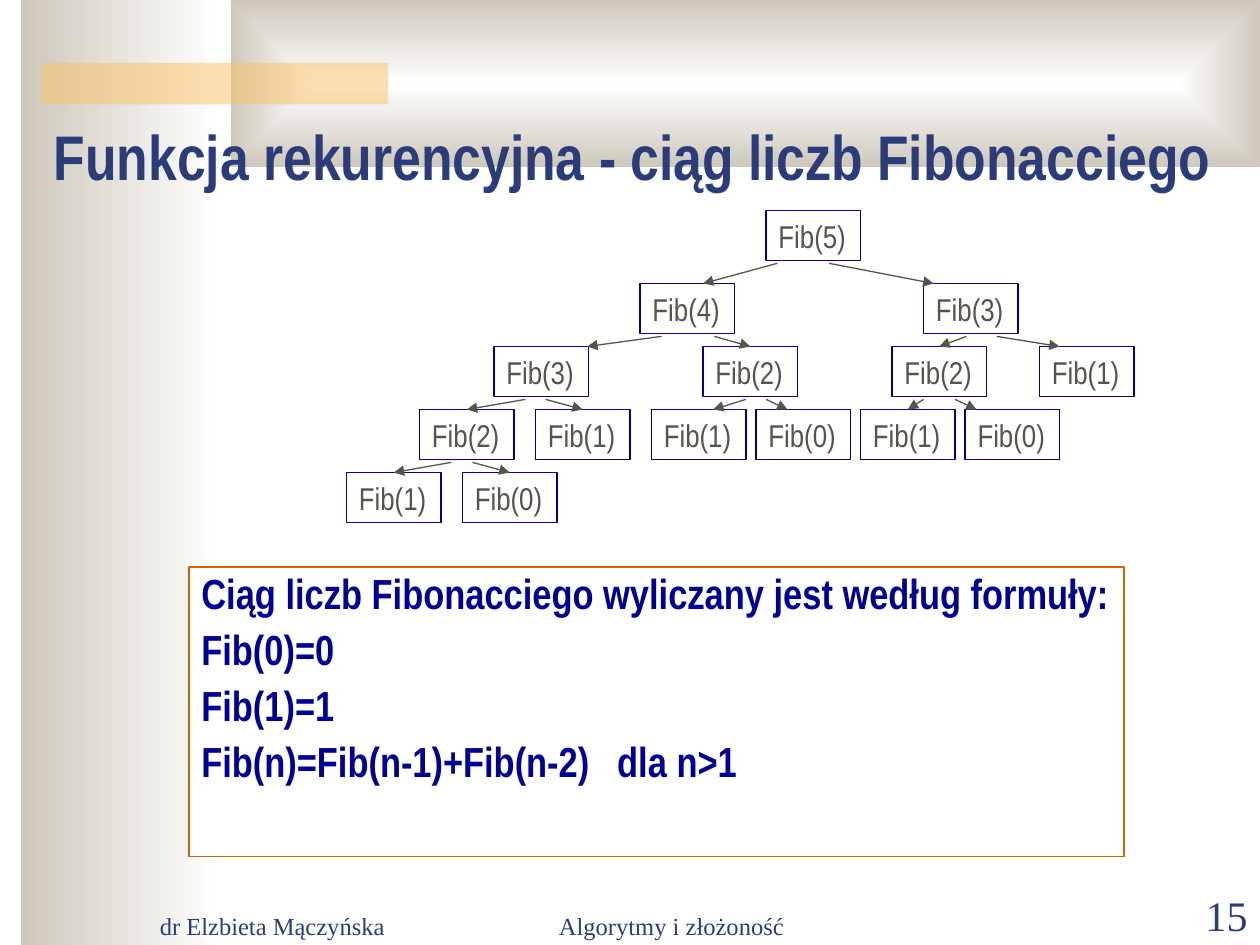
from typing import NamedTuple, Optional

from pptx import Presentation
from pptx.dml.color import RGBColor
from pptx.enum.shapes import MSO_CONNECTOR as Connector, MSO_SHAPE as Shape
from pptx.enum.text import MSO_ANCHOR as Anchor, PP_ALIGN as Align
from pptx.oxml import parse_xml
from pptx.oxml.ns import nsdecls, qn
from pptx.util import Inches, Pt
from lxml.etree import SubElement

COLORS = {
    "paper": "FFFFFF", "sand": "CEC8BA", "amber": "FAC164", "heading": "2A3D7A",
    "navy": "000099", "brown": "5B5249", "orange": "CC6600",
}
NARROW, SERIF = "Arial Narrow", "Times New Roman"
NODE_WIDTH, NODE_HEIGHT, ARROW_GAP = 0.75, 0.4, 0.42
ROW_TOPS = (1.67, 2.25, 2.75, 3.25, 3.75)
FORMULA_TAB = 3.3


class Box(NamedTuple):
    left: float
    top: float
    width: float
    height: float


class Label(NamedTuple):
    text: str
    box: Box
    size: int
    font: str
    bold: bool = False
    align: Align = Align.LEFT


class Call(NamedTuple):
    """A call in the tree; without arrow_to its arrow joins the top middle."""
    argument: int
    row: int
    left: float
    arrow_from: Optional[float] = None
    arrow_to: Optional[float] = None


LABELS = (
    Label("dr Elzbieta Mączyńska", Box(1.17, 7.01, 2.08, 0.5), 14, SERIF),
    Label("Algorytmy i złożoność", Box(3.75, 7.01, 3.16, 0.5), 14, SERIF, align=Align.CENTER),
    Label("15", Box(9, 7.01, 1, 0.5), 24, SERIF, align=Align.RIGHT),
    Label("Funkcja rekurencyjna - ciąg liczb Fibonacciego",
          Box(0.33, 0.83, 9.67, 0.75), 36, NARROW, bold=True),
)
CALLS = (
    Call(5, 0, 6.08),
    Call(4, 1, 5.08, 6.17, 5.58), Call(3, 1, 7.33, 6.58, 7.41),
    Call(3, 2, 3.92, 5.25, 4.66), Call(2, 2, 5.58, 5.67),
    Call(2, 2, 7.08, 7.67), Call(1, 2, 8.25, 7.91, 8.41),
    Call(2, 3, 3.33, 4.17), Call(1, 3, 4.25, 4.33),
    Call(1, 3, 5.17, 5.92, 5.66), Call(0, 3, 6, 6.08, 6.25),
    Call(1, 3, 6.83, 7.33), Call(0, 3, 7.66, 7.58, 7.75),
    Call(1, 4, 2.75, 3.58), Call(0, 4, 3.67, 3.75),
)
FORMULA = (
    "Ciąg liczb Fibonacciego wyliczany jest według formuły:",
    "Fib(0)=0",
    "Fib(1)=1",
    "Fib(n)=Fib(n-1)+Fib(n-2)\tdla n>1",
)


def rgb(name: str) -> RGBColor:
    return RGBColor.from_string(COLORS[name])


def apply(target, values: dict) -> None:
    for attribute, value in values.items():
        setattr(target, attribute, value)


def write(paragraph, text: str, color: str, font: dict, layout: dict) -> None:
    run = paragraph.add_run()
    run.text = text
    apply(run.font, font)
    run.font.color.rgb = rgb(color)
    apply(paragraph, layout)


def add_rectangle(slide, box: Box, outline: Optional[str] = None):
    rectangle = slide.shapes.add_shape(Shape.RECTANGLE, *map(Inches, box))
    rectangle.shadow.inherit = False
    if outline:
        rectangle.line.color.rgb = rgb(outline)
        rectangle.line.width = Pt(0.75)
    else:
        rectangle.line.fill.background()
    return rectangle


def add_gradient(slide, box: Box):
    panel = add_rectangle(slide, box)
    panel.fill.gradient()
    panel.fill.gradient_angle = 180
    for stop, color in zip(panel.fill.gradient_stops, ("paper", "sand")):
        stop.color.rgb = rgb(color)
    return panel


def add_backdrop(slide) -> None:
    add_gradient(slide, Box(0.17, 0, 1.58, 7.5))
    banner = add_gradient(slide, Box(1.83, 0, 8.17, 1.33))
    linear = next(banner.element.spPr.iter(qn("a:lin")))
    linear.getparent().replace(linear, parse_xml(
        f'<a:path {nsdecls("a")} path="rect">'
        '<a:fillToRect l="50000" t="50000" r="50000" b="50000"/></a:path>'))
    accent = add_rectangle(slide, Box(0.33, 0.5, 2.75, 0.33))
    accent.fill.solid()
    accent.fill.fore_color.rgb = rgb("amber")
    color = next(accent.element.spPr.iter(qn("a:srgbClr")))
    SubElement(color, qn("a:alpha"), val="50000")


def add_label(slide, label: Label) -> None:
    frame = slide.shapes.add_textbox(*map(Inches, label.box)).text_frame
    apply(frame, {"word_wrap": True, "vertical_anchor": Anchor.BOTTOM})
    write(frame.paragraphs[0], label.text, "heading",
          {"name": label.font, "size": Pt(label.size), "bold": label.bold},
          {"alignment": label.align})


def add_call(slide, call: Call):
    node = add_rectangle(
        slide, Box(call.left, ROW_TOPS[call.row], NODE_WIDTH, NODE_HEIGHT), "navy")
    node.fill.background()
    apply(node.text_frame, {"word_wrap": False, "vertical_anchor": Anchor.TOP})
    write(node.text_frame.paragraphs[0], f"Fib({call.argument})", "brown",
          {"name": NARROW, "size": Pt(18)}, {"alignment": Align.LEFT})
    return node


def add_arrow(slide, call: Call, node) -> None:
    start_y = ROW_TOPS[call.row - 1] + ARROW_GAP
    end_x = call.arrow_to or call.left + NODE_WIDTH / 2
    arrow = slide.shapes.add_connector(
        Connector.STRAIGHT,
        *map(Inches, (call.arrow_from, start_y, end_x, ROW_TOPS[call.row])))
    if call.arrow_to is None:
        arrow.end_connect(node, 0)
    arrow.line.color.rgb = rgb("brown")
    arrow.line.width = Pt(0.75)
    SubElement(arrow.line._get_or_add_ln(), qn("a:tailEnd"), type="triangle")
    SubElement(arrow._element.spPr, qn("a:effectLst"))


def add_formula(slide) -> None:
    panel = add_rectangle(slide, Box(1.5, 4.5, 7.42, 2.3), "orange")
    panel.fill.solid()
    panel.fill.fore_color.rgb = rgb("paper")
    frame = panel.text_frame
    apply(frame, {"word_wrap": True, "vertical_anchor": Anchor.TOP})
    for index, text in enumerate(FORMULA):
        paragraph = frame.add_paragraph() if index else frame.paragraphs[0]
        write(paragraph, text, "navy",
              {"name": NARROW, "size": Pt(24), "bold": True},
              {"alignment": Align.LEFT, "line_spacing": 0.9, "space_before": Pt(6)})
        if "\t" in text:
            tabs = SubElement(paragraph._p.get_or_add_pPr(), qn("a:tabLst"))
            SubElement(tabs, qn("a:tab"), pos=str(Inches(FORMULA_TAB)), algn="l")


def main() -> None:
    """Build the slide about the recursive Fibonacci function."""
    deck = Presentation()
    apply(deck, {"slide_width": Inches(10), "slide_height": Inches(7.5)})
    slide = deck.slides.add_slide(deck.slide_layouts[6])
    add_backdrop(slide)
    for label in LABELS:
        add_label(slide, label)
    nodes = [add_call(slide, call) for call in CALLS]
    for call, node in zip(CALLS, nodes):
        if call.arrow_from is not None:
            add_arrow(slide, call, node)
    add_formula(slide)
    deck.save("out.pptx")


if __name__ == "__main__":
    main()
